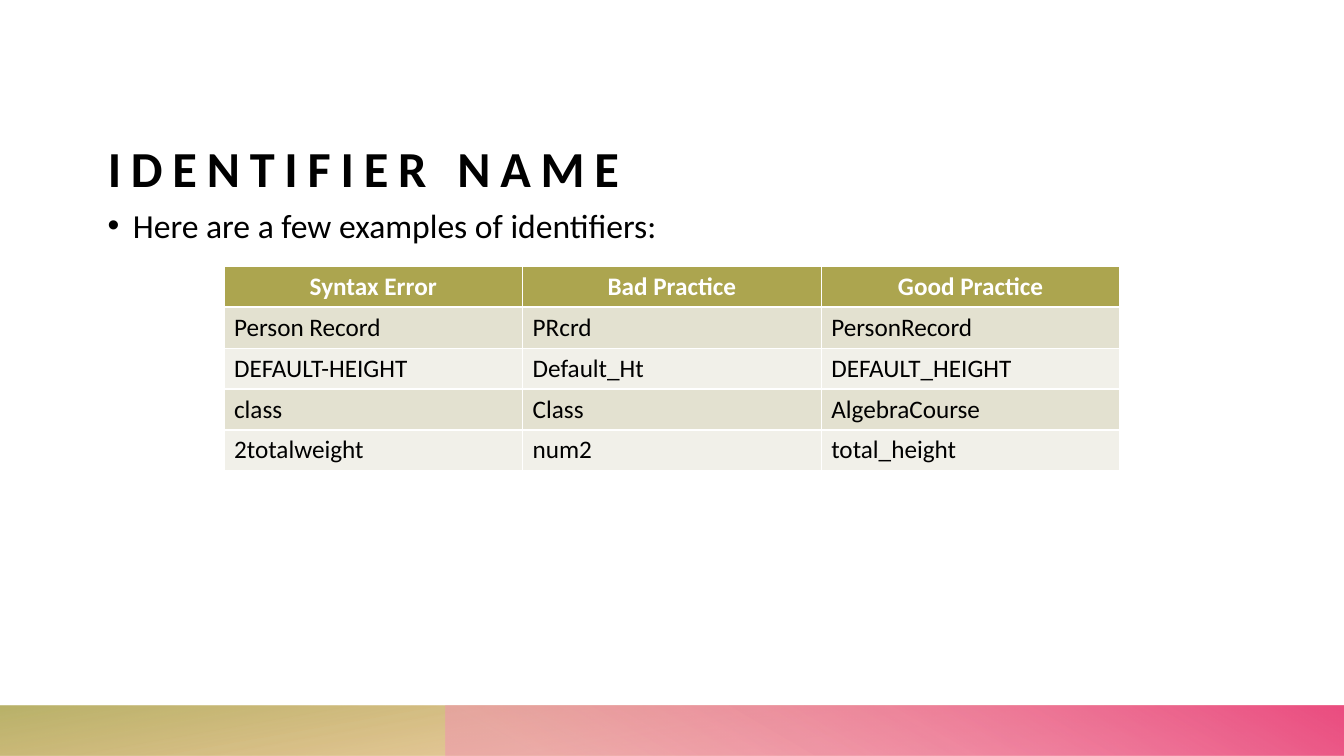
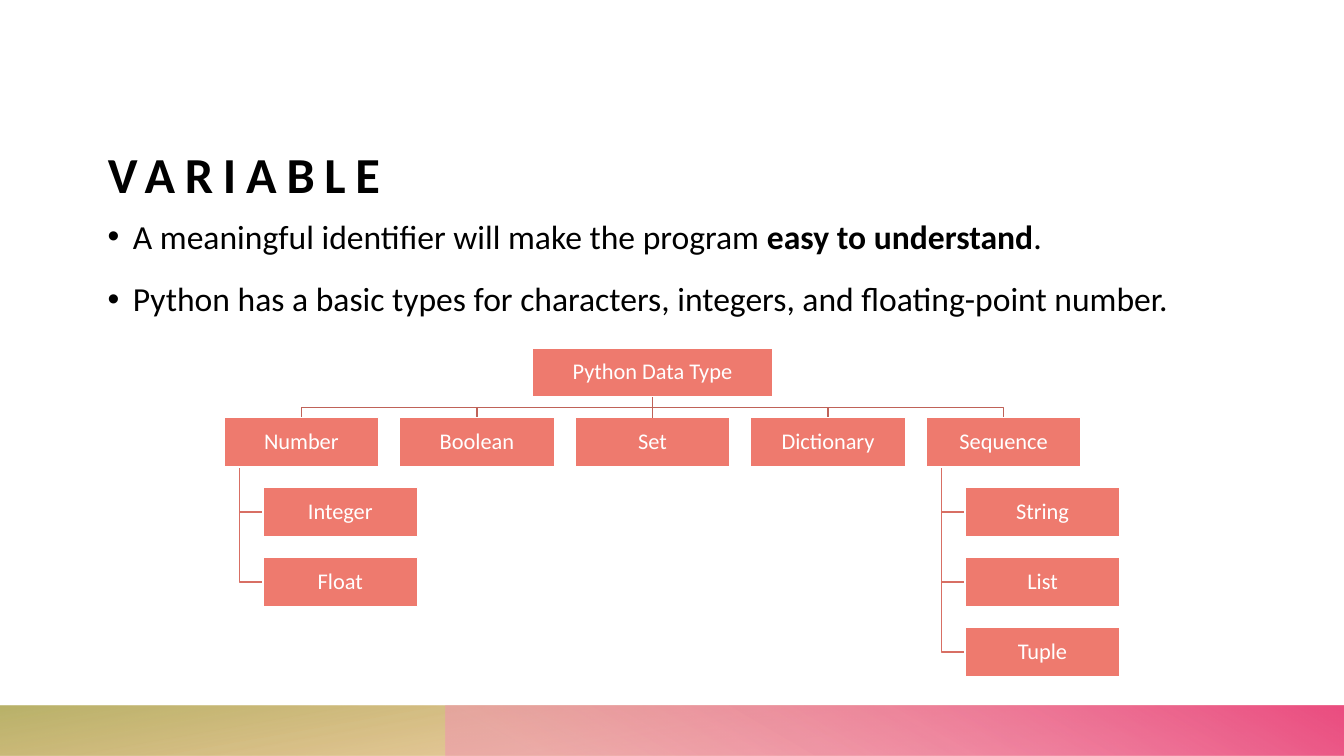
from lxml import etree
from pptx import Presentation
from pptx.dml.color import RGBColor
from pptx.enum.shapes import MSO_CONNECTOR as Connector, MSO_SHAPE as Shape
from pptx.enum.text import MSO_ANCHOR as Anchor, MSO_AUTO_SIZE as AutoSize, PP_ALIGN as Align
from pptx.oxml.ns import qn
from pptx.util import Pt

BLACK = RGBColor(0x00, 0x00, 0x00)
WHITE = RGBColor(0xFF, 0xFF, 0xFF)
OLIVE = RGBColor(0xAC, 0xA5, 0x4F)
ORANGE = RGBColor(0xE8, 0x8F, 0x33)
LIGHT_PINK = RGBColor(0xF3, 0x95, 0xB3)
PINK = RGBColor(0xEB, 0x4E, 0x81)
CORAL = RGBColor(0xEE, 0x7A, 0x6E)
TOP_LINE = RGBColor(0xBF, 0x62, 0x58)
SIDE_LINE = RGBColor(0xD8, 0x6F, 0x64)
ROW_FILLS = [RGBColor(0xF1, 0xF0, 0xE9), RGBColor(0xE3, 0xE1, 0xD0)]

FONT = "Calibri"
TITLE_FORMAT = {"name": FONT, "size": Pt(36), "bold": True, "color": BLACK}
BODY_FORMAT = {"name": FONT, "size": Pt(24), "color": BLACK}
HEADER_FORMAT = {"name": FONT, "size": Pt(18), "bold": True, "color": WHITE}
CELL_FORMAT = {"name": FONT, "size": Pt(18), "bold": False, "color": BLACK}
NODE_FORMAT = {"name": FONT, "size": Pt(16), "color": WHITE}
NO_MARGINS = dict.fromkeys(["margin_left", "margin_top", "margin_right", "margin_bottom"], 0)
NODE_MARGINS = dict.fromkeys(NO_MARGINS, Pt(1))

SLIDE_WIDTH, SLIDE_HEIGHT = 960, 540
BAND_TOP, BAND_HEIGHT = 504, 36
BANDS = [
    (0, 100, [(0.14, ORANGE, 28), (1, OLIVE, 85)]),
    (318, 60, [(0.09, LIGHT_PINK, 55), (0.99, PINK, 100)]),
]
CONTENT_LEFT, CONTENT_WIDTH, TITLE_HEIGHT = 77, 806, 97

IDENTIFIER_BULLETS = [[("Here are a few examples of identifiers:", False)]]
IDENTIFIER_ROWS = [
    ("Syntax Error", "Bad Practice", "Good Practice"),
    ("Person Record", "PRcrd", "PersonRecord"),
    ("DEFAULT-HEIGHT", "Default_Ht", "DEFAULT_HEIGHT"),
    ("class", "Class", "AlgebraCourse"),
    ("2totalweight", "num2", "total_height"),
]
TABLE_LEFT, TABLE_TOP, TABLE_WIDTH, ROW_HEIGHT = 160, 190.2, 640, 29.25

VARIABLE_BULLETS = [
    [
        ("A meaningful identifier will make the program ", False),
        ("easy to understand", True),
        (".", False),
    ],
    [("Python has a basic types for characters, integers, and floating-point number.", False)],
]
ROOT_TYPE = "Python Data Type"
DATA_TYPES = {
    "Number": ["Integer", "Float"],
    "Boolean": [],
    "Set": [],
    "Dictionary": [],
    "Sequence": ["String", "List", "Tuple"],
}
TREE_LEFT, TREE_TOP = 160, 248.5
NODE_WIDTH, NODE_HEIGHT, ROOT_WIDTH = 110.6, 35.1, 172
COLUMN_STEP, LEVEL_STEP = 125.4, 49.9
RAIL_INDENT, CHILD_INDENT = 11, 27.8


def set_values(target, values):
    for name, value in values.items():
        setattr(target, name, value)


def set_font(font, values):
    for name, value in values.items():
        if name == "color":
            font.color.rgb = value
        else:
            setattr(font, name, value)


def add_rectangle(slide, left, top, width, height):
    shape = slide.shapes.add_shape(Shape.RECTANGLE, Pt(left), Pt(top), Pt(width), Pt(height))
    shape.shadow.inherit = False
    return shape


def add_bands(slide):
    for left, angle, stops in BANDS:
        band = add_rectangle(slide, left, BAND_TOP, SLIDE_WIDTH - left, BAND_HEIGHT)
        band.line.fill.background()
        band.fill.gradient()
        band.fill.gradient_angle = angle
        for stop, (position, color, opacity) in zip(band.fill.gradient_stops, stops):
            stop.position = position
            stop.color.rgb = color
        colors = band.element.spPr.iter(qn("a:srgbClr"))
        for element, (position, color, opacity) in zip(colors, stops):
            etree.SubElement(element, qn("a:alpha"), val=str(opacity * 1000))


def add_titled_slide(presentation, text, top):
    slide = presentation.slides.add_slide(presentation.slide_layouts[5])
    add_bands(slide)
    title = slide.shapes.title
    set_values(title, {
        "left": Pt(CONTENT_LEFT), "top": Pt(top),
        "width": Pt(CONTENT_WIDTH), "height": Pt(TITLE_HEIGHT),
    })
    set_values(title.text_frame, {
        **NO_MARGINS, "auto_size": AutoSize.NONE,
        "word_wrap": True, "vertical_anchor": Anchor.BOTTOM,
    })
    paragraph = title.text_frame.paragraphs[0]
    paragraph.alignment = Align.LEFT
    run = paragraph.add_run()
    run.text = text
    set_font(run.font, TITLE_FORMAT)
    run.font._element.set("spc", "700")
    return slide


def add_bullets(slide, bullets, top, height):
    box = slide.shapes.add_textbox(Pt(CONTENT_LEFT), Pt(top), Pt(CONTENT_WIDTH), Pt(height))
    frame = box.text_frame
    set_values(frame, {**NO_MARGINS, "word_wrap": True})
    for index, runs in enumerate(bullets):
        paragraph = frame.add_paragraph() if index else frame.paragraphs[0]
        properties = paragraph._p.get_or_add_pPr()
        properties.set("marL", str(Pt(18)))
        properties.set("indent", str(-Pt(18)))
        etree.SubElement(properties, qn("a:buFont"), typeface="Arial")
        etree.SubElement(properties, qn("a:buChar"), char="•")
        set_values(paragraph, {"line_spacing": 1.2, "space_before": Pt(10 if index else 0)})
        for text, bold in runs:
            run = paragraph.add_run()
            run.text = text
            set_font(run.font, {**BODY_FORMAT, "bold": bold})


def set_borders(cell, is_header):
    properties = cell._tc.get_or_add_tcPr()
    for side in "LRTB":
        width = 2 if is_header and side == "B" else 1
        line = etree.SubElement(properties, qn(f"a:ln{side}"), w=str(Pt(width)))
        fill = etree.SubElement(line, qn("a:solidFill"))
        etree.SubElement(fill, qn("a:srgbClr"), val=str(WHITE))


def add_identifier_table(slide):
    row_count, column_count = len(IDENTIFIER_ROWS), len(IDENTIFIER_ROWS[0])
    table = slide.shapes.add_table(
        row_count, column_count, Pt(TABLE_LEFT), Pt(TABLE_TOP),
        Pt(TABLE_WIDTH), Pt(ROW_HEIGHT * row_count),
    ).table
    for row_index, texts in enumerate(IDENTIFIER_ROWS):
        is_header = row_index == 0
        for column_index, text in enumerate(texts):
            cell = table.cell(row_index, column_index)
            set_borders(cell, is_header)
            cell.fill.solid()
            cell.fill.fore_color.rgb = OLIVE if is_header else ROW_FILLS[row_index % 2]
            paragraph = cell.text_frame.paragraphs[0]
            paragraph.alignment = Align.CENTER if is_header else Align.LEFT
            run = paragraph.add_run()
            run.text = text
            set_font(run.font, HEADER_FORMAT if is_header else CELL_FORMAT)


def add_node(slide, text, left, level, width=NODE_WIDTH):
    node = add_rectangle(slide, left, TREE_TOP + level * LEVEL_STEP, width, NODE_HEIGHT)
    node.fill.solid()
    node.fill.fore_color.rgb = CORAL
    node.line.color.rgb = WHITE
    node.line.width = Pt(1)
    set_values(node.text_frame, {
        **NODE_MARGINS, "word_wrap": True, "vertical_anchor": Anchor.MIDDLE,
    })
    paragraph = node.text_frame.paragraphs[0]
    set_values(paragraph, {"alignment": Align.CENTER, "line_spacing": 0.9})
    run = paragraph.add_run()
    run.text = text
    set_font(run.font, NODE_FORMAT)
    return node


def add_elbow(slide, points, color):
    start, *others = [(Pt(x), Pt(y)) for x, y in points]
    builder = slide.shapes.build_freeform(*start)
    builder.add_line_segments(others, close=False)
    elbow = builder.convert_to_shape()
    elbow.shadow.inherit = False
    elbow.fill.background()
    elbow.line.color.rgb = color
    elbow.line.width = Pt(1)


def add_trunk(slide, root, branch, center, top, bottom):
    trunk = slide.shapes.add_connector(
        Connector.STRAIGHT, Pt(center), Pt(top), Pt(center), Pt(bottom))
    trunk.line.color.rgb = TOP_LINE
    trunk.line.width = Pt(1)
    etree.SubElement(trunk._element.spPr, qn("a:effectLst"))
    trunk.begin_connect(root, 2)
    trunk.end_connect(branch, 0)


def add_children(slide, names, parent_left):
    rail = parent_left + RAIL_INDENT
    child_left = parent_left + CHILD_INDENT
    parent_bottom = TREE_TOP + LEVEL_STEP + NODE_HEIGHT
    for level, name in enumerate(names, 2):
        middle = TREE_TOP + level * LEVEL_STEP + NODE_HEIGHT / 2
        points = [(rail, parent_bottom), (rail, middle), (child_left, middle)]
        add_elbow(slide, points, SIDE_LINE)
        add_node(slide, name, child_left, level)


def add_type_tree(slide):
    lefts = [TREE_LEFT + index * COLUMN_STEP for index in range(len(DATA_TYPES))]
    centers = [left + NODE_WIDTH / 2 for left in lefts]
    middle_index = len(centers) // 2
    root_center = centers[middle_index]
    root_bottom = TREE_TOP + NODE_HEIGHT
    branch_top = TREE_TOP + LEVEL_STEP
    bus = (root_bottom + branch_top) / 2
    for index, center in enumerate(centers):
        if index != middle_index:
            points = [(root_center, root_bottom), (root_center, bus), (center, bus), (center, branch_top)]
            add_elbow(slide, points, TOP_LINE)
    root = add_node(slide, ROOT_TYPE, root_center - ROOT_WIDTH / 2, 0, ROOT_WIDTH)
    branches = []
    for (name, children), left in zip(DATA_TYPES.items(), lefts):
        add_children(slide, children, left)
        branches.append(add_node(slide, name, left, 1))
    add_trunk(slide, root, branches[middle_index], root_center, root_bottom, branch_top)


def main():
    presentation = Presentation()
    presentation.slide_width = Pt(SLIDE_WIDTH)
    presentation.slide_height = Pt(SLIDE_HEIGHT)

    identifier_slide = add_titled_slide(presentation, "IDENTIFIER NAME", 44)
    add_bullets(identifier_slide, IDENTIFIER_BULLETS, 140.8, 312)
    add_identifier_table(identifier_slide)

    variable_slide = add_titled_slide(presentation, "VARIABLE", 48.5)
    add_bullets(variable_slide, VARIABLE_BULLETS, 148.5, 97)
    add_type_tree(variable_slide)

    presentation.save("out.pptx")


if __name__ == "__main__":
    main()
